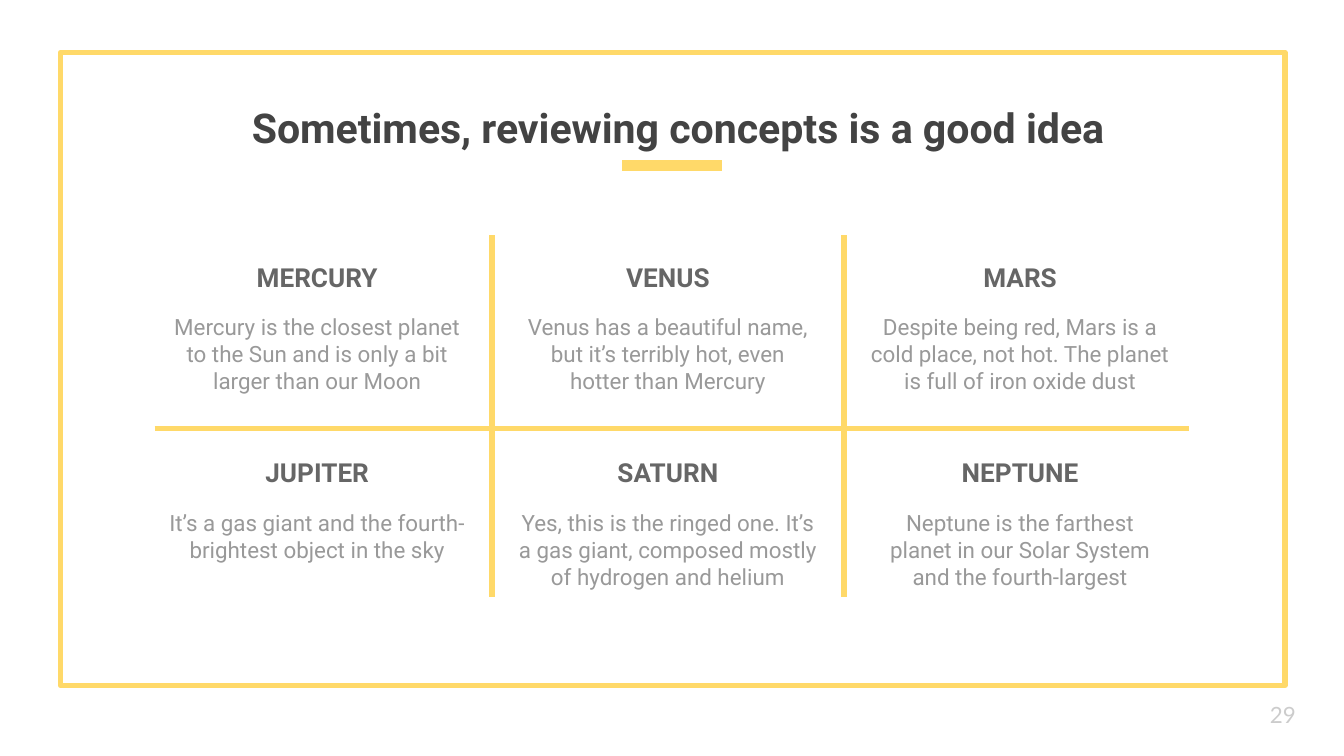
"""Build a slide that reviews six planets in a ruled grid."""
from lxml.etree import SubElement
from pptx import Presentation
from pptx.dml.color import RGBColor as RGB
from pptx.enum.shapes import MSO_CONNECTOR as Conn, MSO_SHAPE as Shape
from pptx.enum.text import MSO_ANCHOR as Anchor, PP_ALIGN as Align
from pptx.oxml.ns import qn
from pptx.util import Inches, Pt

GOLD = RGB.from_string("FFD969")

deck = Presentation()
deck.slide_width, deck.slide_height = Inches(10), Inches(5.625)
slide = deck.slides.add_slide(deck.slide_layouts[6])


def add_rule(x1, y1, x2, y2, width):
    rule = slide.shapes.add_connector(
        Conn.STRAIGHT, Inches(x1), Inches(y1), Inches(x2), Inches(y2))
    rule.line.color.rgb = GOLD
    rule.line.width = Pt(width)
    SubElement(rule.element.spPr, qn("a:effectLst"))


def add_text(words, x, y, w, h, size, color, bold=False,
             anchor=Anchor.BOTTOM, align=Align.CENTER, face="Roboto"):
    box = slide.shapes.add_textbox(Inches(x), Inches(y), Inches(w), Inches(h))
    frame = box.text_frame
    frame.word_wrap = True
    frame.vertical_anchor = anchor
    frame.margin_left = frame.margin_right = Inches(0.1)
    frame.margin_top = frame.margin_bottom = Inches(0.1)
    para = frame.paragraphs[0]
    para.alignment = align
    run = para.add_run()
    run.text = words
    run.font.name = face
    run.font.size = Pt(size)
    run.font.bold = bold
    run.font.color.rgb = RGB.from_string(color)


border = slide.shapes.add_shape(
    Shape.RECTANGLE, Inches(0.45), Inches(0.39), Inches(9.11), Inches(4.71))
border.shadow.inherit = False
border.fill.background()
border.line.color.rgb = GOLD
border.line.width = Pt(3)
SubElement(border.element.spPr.find(qn("a:ln")), qn("a:round"))

add_rule(1.15, 3.19, 8.85, 3.19, 3)
add_text("Sometimes, reviewing concepts is a good idea",
         0.85, 0.7, 8.39, 0.53, 22, "434343", True)
for x in (3.66, 6.28):
    add_rule(x, 1.75, x, 4.44, 3)
add_text("29", 9.35, 5.1, 0.6, 0.43, 12, "CCCCCC",
         anchor=Anchor.MIDDLE, align=Align.LEFT, face="Lato")
add_rule(4.63, 1.23, 5.37, 1.23, 6)
for left, right in ((1.26, 3.52), (3.84, 6.09), (6.46, 8.71)):
    add_rule(left, 3.19, right, 3.19, 2.25)

mids = (2.36, 4.97, 7.59)
rows = (
    (1.57, 2.23, (
        ("MERCURY", 2.38, "Mercury is the closest planet to the Sun "
         "and is only a bit larger than our Moon"),
        ("VENUS", 2.38, "Venus has a beautiful name, but it’s terribly hot, "
         "even hotter than Mercury"),
        ("MARS", 2.54, "Despite being red, Mars is a cold place, not hot. "
         "The planet is full of iron oxide dust"))),
    (3.02, 3.69, (
        ("JUPITER", 2.58, "It’s a gas giant and the fourth-brightest "
         "object in the sky"),
        ("SATURN", 2.45, "Yes, this is the ringed one. It’s a gas giant, "
         "composed mostly of hydrogen and helium"),
        ("NEPTUNE", 2.31, "Neptune is the farthest planet in our Solar "
         "System and the fourth-largest"))),
)
for head_y, body_y, cells in rows:
    for mid, (name, width, fact) in zip(mids, cells):
        add_text(name, mid - 2.31 / 2, head_y, 2.31, 0.71, 14, "666666", True)
        add_text(fact, mid - width / 2, body_y, width, 0.71, 12, "999999",
                 anchor=Anchor.TOP)

deck.save("out.pptx")
